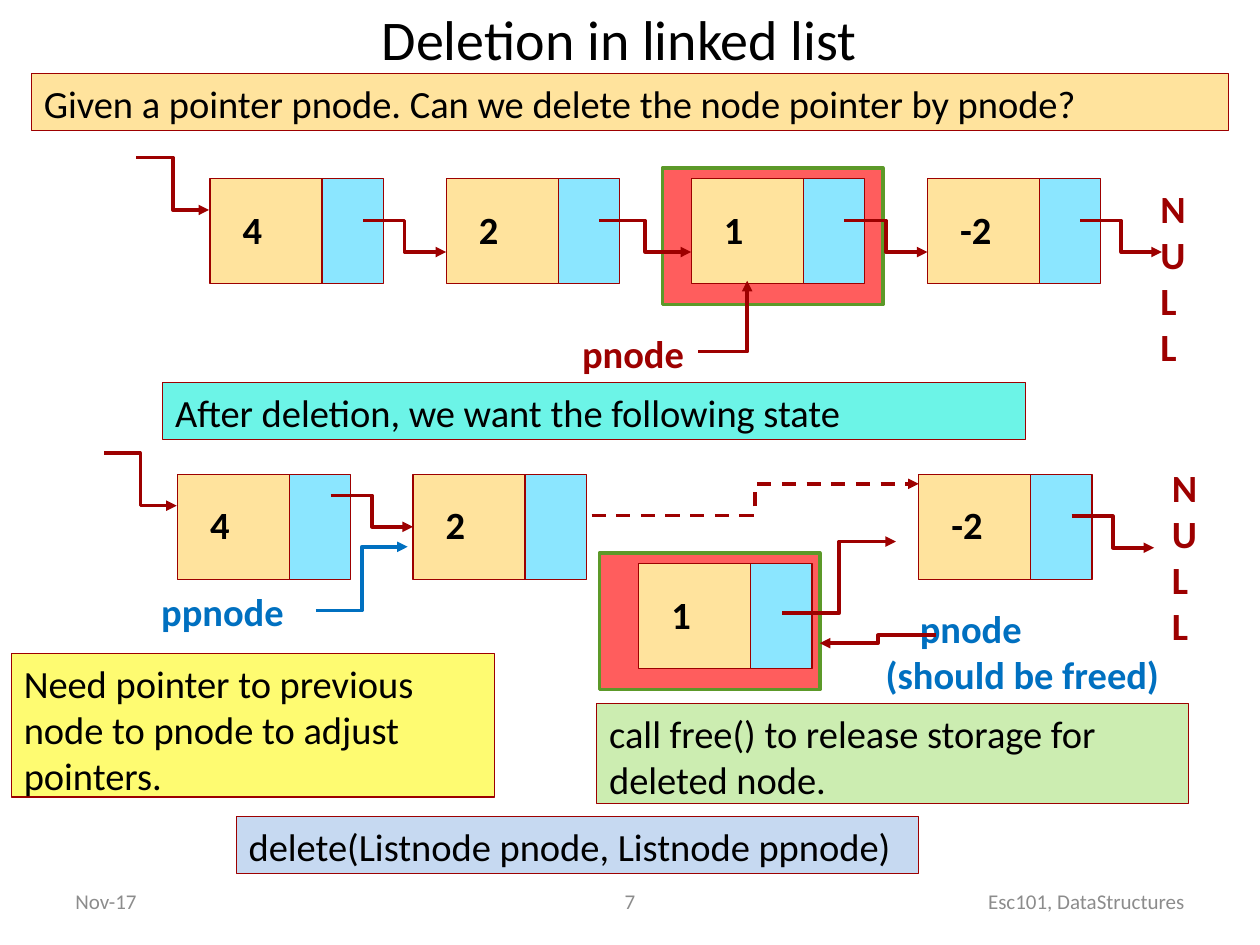
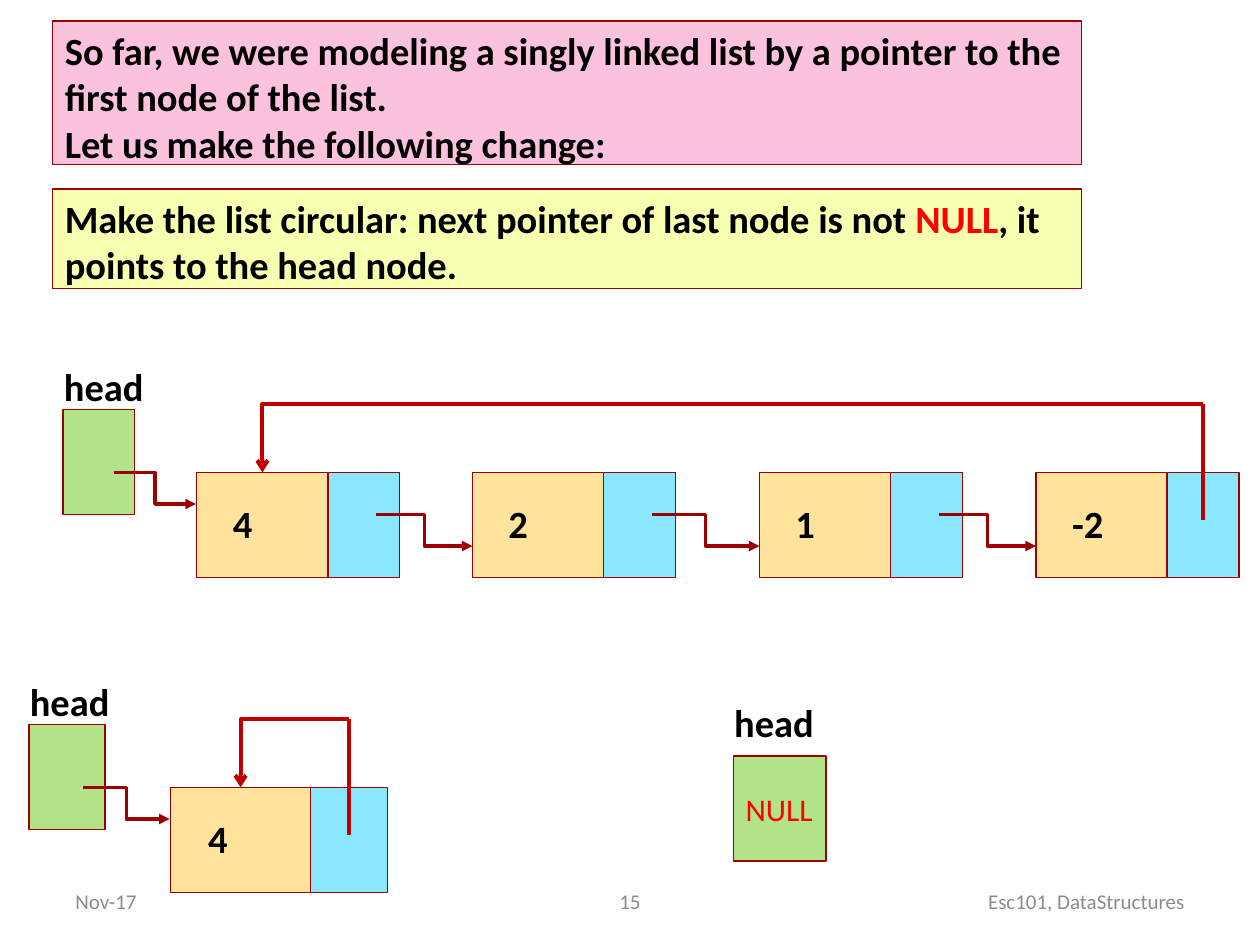
from dataclasses import dataclass

from lxml import etree
from pptx import Presentation
from pptx import util as u
from pptx.dml.color import RGBColor
from pptx.enum import dml, shapes, text
from pptx.oxml import ns


@dataclass(frozen=True)
class Theme:
    font: str = "Calibri"
    title_size: int = 32
    body_size: int = 22
    null_size: int = 18
    footer_size: int = 12
    ink: str = "000000"
    maroon: str = "9D0000"
    loop: str = "C00000"
    blue: str = "0070C0"
    red: str = "FF0000"
    footer: str = "8C8C8C"
    data: str = "FFE39D"
    link: str = "8BE6FF"
    head: str = "B2E389"
    doomed: str = "FF5D5D"
    doomed_edge: str = "5C9929"
    aqua: str = "6CF4E7"
    yellow: str = "FEFB71"
    green: str = "CCEDB1"
    pale_blue: str = "C6D9F1"
    pink: str = "FAC2DD"
    lemon: str = "F8FFB1"


THEME = Theme()
NODE_HEIGHT = 60
LEFT, CENTER, RIGHT = text.PP_ALIGN.LEFT, text.PP_ALIGN.CENTER, text.PP_ALIGN.RIGHT
TOP, MIDDLE = text.MSO_ANCHOR.TOP, text.MSO_ANCHOR.MIDDLE


@dataclass(frozen=True)
class Node:
    """A list node: a data cell followed by a link cell."""
    x: float
    y: float
    value: str
    data_width: float = 64
    link_width: float = 35

    @property
    def link_x(self):
        return self.x + self.data_width

    @property
    def arrow_x(self):
        return self.link_x + 0.67 * self.link_width


def rgb(color):
    return RGBColor.from_string(color)


def points(*lengths):
    return [u.Pt(length) for length in lengths]


def write(frame, lines, size=THEME.body_size, color=THEME.ink, bold=False,
          align=LEFT, anchor=TOP, wrap=True, accent=None):
    """Fill a text frame, one paragraph a line; the accent word turns red."""
    frame.word_wrap = wrap
    frame.vertical_anchor = anchor
    for index, line in enumerate(lines):
        para = frame.add_paragraph() if index else frame.paragraphs[0]
        para.alignment = align
        for piece in line.partition(accent) if accent else (line,):
            span = para.add_run()
            span.text = piece
            span.font.name = THEME.font
            span.font.size = u.Pt(size)
            span.font.bold = bold
            span.font.color.rgb = rgb(THEME.red if piece == accent else color)


def add_label(page, box, *lines, **style):
    label = page.shapes.add_textbox(*points(*box))
    write(label.text_frame, lines, **style)
    return label


def add_box(page, box, fill, edge=THEME.maroon, weight=0.75):
    shape = page.shapes.add_shape(shapes.MSO_SHAPE.RECTANGLE, *points(*box))
    shape.shadow.inherit = False
    shape.fill.solid()
    shape.fill.fore_color.rgb = rgb(fill)
    shape.line.color.rgb = rgb(edge)
    shape.line.width = u.Pt(weight)
    return shape


def add_banner(page, box, fill, *lines, **style):
    write(add_box(page, box, fill).text_frame, lines, **style)


def add_doomed_frame(page, x, y):
    add_box(page, (x, y, 126, 78), THEME.doomed, THEME.doomed_edge, 2)


def add_line(page, start, end, color=THEME.maroon, weight=2, head="triangle",
             bends=2, dashed=False):
    """Draw a line with 0, 1 or 2 right-angled bends, leaving horizontally."""
    kind = shapes.MSO_CONNECTOR.ELBOW if bends else shapes.MSO_CONNECTOR.STRAIGHT
    line = page.shapes.add_connector(kind, *points(*start, *end))
    line.line.color.rgb = rgb(color)
    line.line.width = u.Pt(weight)
    if dashed:
        line.line.dash_style = dml.MSO_LINE.DASH
    properties = line.element.spPr
    if bends == 1:
        properties.find(ns.qn("a:prstGeom")).set("prst", "bentConnector2")
    if head:
        outline = properties.find(ns.qn("a:ln"))
        etree.SubElement(outline, ns.qn("a:tailEnd"), type=head)
    etree.SubElement(properties, ns.qn("a:effectLst"))


def add_node(page, node):
    add_box(page, (node.x, node.y, node.data_width, NODE_HEIGHT), THEME.data)
    add_box(page, (node.link_x, node.y, node.link_width, NODE_HEIGHT), THEME.link)
    width = 18 + 7 * len(node.value)
    add_label(page, (node.x + 0.18 * node.data_width, node.y + 12, width, 32),
              node.value, bold=True, wrap=False)


def add_link(page, node, target_x, drop=24):
    """Draw the next pointer from the node's link cell to target_x."""
    add_line(page, (node.arrow_x, node.y + drop), (target_x, node.y + drop + 18))


def add_chain(page, nodes):
    for node in nodes:
        add_node(page, node)
    for node, following in zip(nodes, nodes[1:]):
        add_link(page, node, following.x)


def add_entry_arrow(page, node):
    add_line(page, (node.x - 42, node.y - 12), (node.x - 0.5, node.y + 18))


def add_head(page, x, y, width, gap=30):
    add_label(page, (x - 6.5, y - gap, 60.5, 32), "head", bold=True, wrap=False)
    return add_box(page, (x, y, width, NODE_HEIGHT), THEME.head)


def add_head_link(page, x, y, width, node):
    add_head(page, x, y, width)
    add_line(page, (x + 0.71 * width, y + 36), (node.x - 0.5, y + 54))


def add_loop(page, last, first):
    """Lead the last node's link over the list, back to the first node."""
    x, top = last.link_x + last.link_width / 2, last.y - 39
    style = {"color": THEME.loop, "weight": 2.25}
    add_line(page, (x, top), (first.x + first.data_width / 2, first.y),
             head="arrow", bends=1, **style)
    add_line(page, (x, last.y + 27), (x, top), head=None, bends=0, **style)


def add_footer(page, number):
    for x, width, words, align in ((36, 168, "Nov-17", LEFT),
                                   (246, 228, number, CENTER),
                                   (516, 168, "Esc101, DataStructures", RIGHT)):
        add_label(page, (x, 500.5, width, 28.5), words, size=THEME.footer_size,
                  color=THEME.footer, align=align, anchor=MIDDLE)


def set_title(page, words):
    title = page.shapes.title
    title.left, title.top, title.width, title.height = points(30, -0.5, 648, 45)
    write(title.text_frame, [words], size=THEME.title_size, align=CENTER,
          anchor=MIDDLE)


def draw_before_deletion(page):
    add_banner(page, (18, 42, 684, 32.5), THEME.data,
               "Given a pointer pnode. Can we delete the node pointer by pnode?")
    add_label(page, (656, 102, 30, 106.5), "NULL", color=THEME.maroon, bold=True)
    add_doomed_frame(page, 378.5, 96)
    nodes = [Node(x, 102, value) for x, value in
             ((120, "4"), (255, "2"), (395, "1"), (530, "-2"))]
    add_chain(page, nodes)
    add_link(page, nodes[-1], 664)
    add_entry_arrow(page, nodes[0])
    add_label(page, (325.5, 185, 73.5, 32), "pnode", color=THEME.maroon,
              bold=True, wrap=False)
    add_line(page, (399, 201), (427, 160.5), bends=1)


def draw_after_deletion(page):
    add_banner(page, (93, 218.5, 493, 32.5), THEME.aqua,
               "After deletion, we want the following state")
    first, second, last = nodes = [Node(x, 271, value) for x, value in
                                   ((101.5, "4"), (236, "2"), (525, "-2"))]
    for node in nodes:
        add_node(page, node)
    add_entry_arrow(page, first)
    add_link(page, first, second.x, drop=12)
    add_line(page, (338, 294.5), (last.x, 276.5), dashed=True)
    add_link(page, last, 659.5)
    add_label(page, (662.5, 261.5, 28, 106.5), "NULL", color=THEME.maroon, bold=True)

    freed = add_label(page, (499, 342, 209.5, 57), "pnode", "(should be freed)",
                      color=THEME.blue, bold=True)
    indent = freed.text_frame.paragraphs[0]._p.get_or_add_pPr()
    indent.set("marL", str(u.Pt(19.5)))
    add_doomed_frame(page, 342.5, 316)
    add_node(page, Node(365, 322, "1"))
    add_line(page, (447, 350.5), (512, 309.5))
    add_line(page, (535, 363), (468.5, 367.5))
    add_line(page, (180.5, 349), (233, 312.5), color=THEME.blue)
    add_label(page, (85, 332.5, 96, 32), "ppnode", color=THEME.blue, bold=True)


def build_deletion(deck):
    page = deck.slides.add_slide(deck.slide_layouts[5])
    set_title(page, "Deletion in linked list")
    draw_before_deletion(page)
    draw_after_deletion(page)
    add_banner(page, (341, 402, 338, 57), THEME.green,
               "call free() to release storage for deleted node.")
    add_banner(page, (6.5, 373.5, 276, 82), THEME.yellow,
               "Need pointer to previous node to pnode to adjust pointers.")
    add_banner(page, (135, 466.5, 390, 32.5), THEME.pale_blue,
               "delete(Listnode pnode, Listnode ppnode)", wrap=False)
    add_footer(page, "7")


def build_circular_list(deck):
    page = deck.slides.add_slide(deck.slide_layouts[6])
    add_footer(page, "15")
    add_banner(page, (30, 12, 588, 82), THEME.pink,
               "So far, we were modeling a singly linked list by a pointer to "
               "the first node of the list.",
               "Let us make the following change:", bold=True)
    add_banner(page, (30, 108, 588, 57), THEME.lemon,
               "Make the list circular: next pointer of last node is not NULL, "
               "it points to the head node.", bold=True, accent="NULL")

    nodes = [Node(x, 270, value, 75, 41) for x, value in
             ((112.5, "4"), (270, "2"), (434, "1"), (592, "-2"))]
    add_chain(page, nodes)
    add_head_link(page, 36, 234, 41, nodes[0])
    add_loop(page, nodes[-1], nodes[0])

    single = Node(97.5, 450, "4", 80, 44)
    add_node(page, single)
    add_head_link(page, 16.5, 414, 43.5, single)
    add_loop(page, single, single)

    empty = add_head(page, 419, 432, 53, gap=36)
    write(empty.text_frame, ["NULL"], size=THEME.null_size, color=THEME.red,
          anchor=MIDDLE, wrap=False)


def main():
    deck = Presentation()
    deck.slide_width, deck.slide_height = points(720, 540)
    build_deletion(deck)
    build_circular_list(deck)
    deck.save("out.pptx")


if __name__ == "__main__":
    main()
